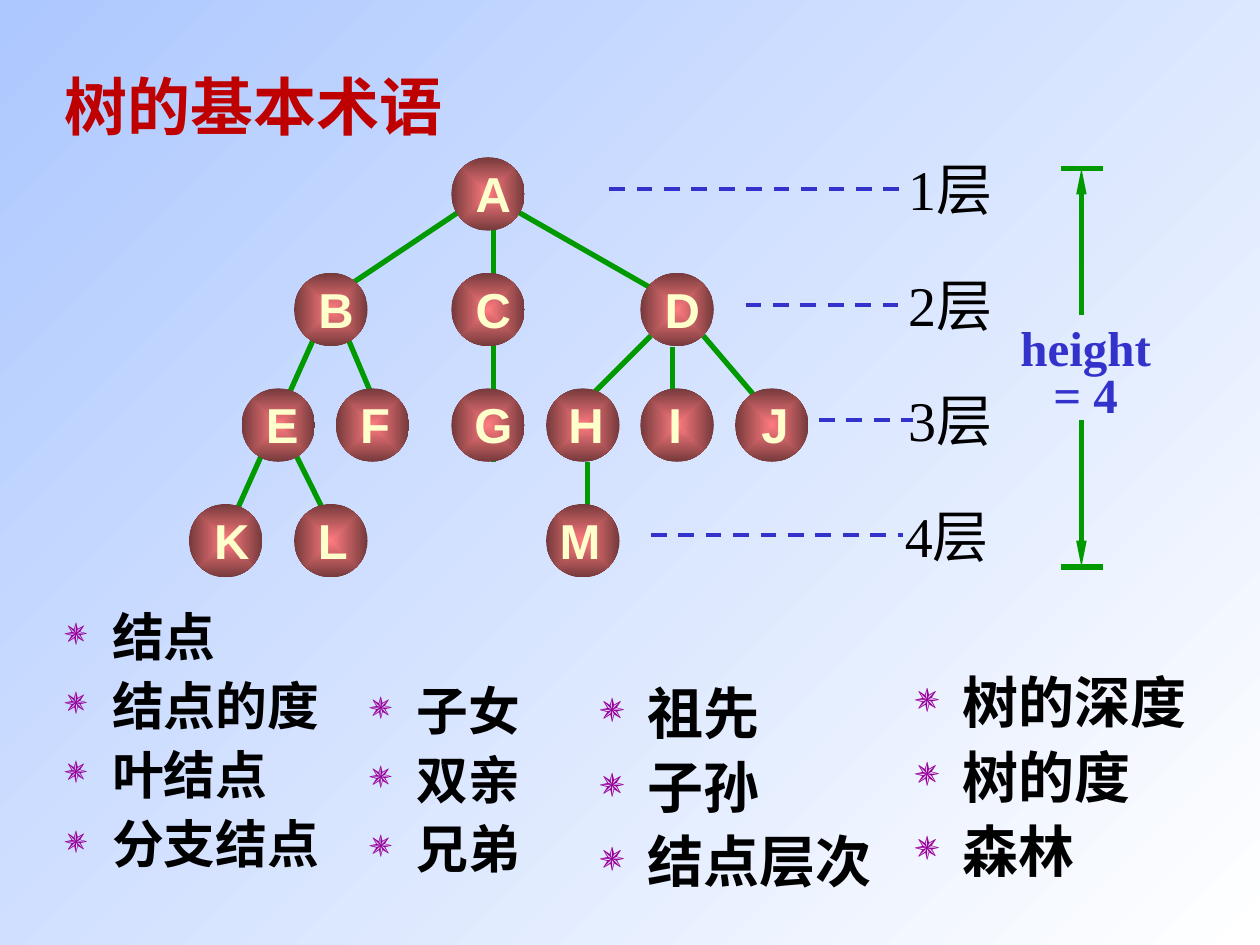
from lxml import etree
from pptx import Presentation
from pptx.dml.color import RGBColor
from pptx.enum.dml import MSO_LINE
from pptx.enum.shapes import MSO_CONNECTOR, MSO_SHAPE
from pptx.enum.text import MSO_ANCHOR, MSO_AUTO_SIZE, PP_ALIGN
from pptx.oxml import parse_xml
from pptx.oxml.ns import nsdecls, qn
from pptx.util import Cm, Pt

STRAIGHT = MSO_CONNECTOR.STRAIGHT
ELLIPSE = MSO_SHAPE.OVAL
DASH = MSO_LINE.DASH
MIDDLE, TOP = MSO_ANCHOR.MIDDLE, MSO_ANCHOR.TOP
CENTER, LEFT = PP_ALIGN.CENTER, PP_ALIGN.LEFT
FIT_SHAPE = MSO_AUTO_SIZE.SHAPE_TO_FIT_TEXT

COLORS = {
    "sky": "ADC8FF", "white": "FFFFFF", "title": "BE0000", "text": "000000",
    "edge": "009900", "level": "3333CC", "letter": "FFFFCC",
    "node_in": "FF7C80", "node_out": "75393B", "bullet": "990099",
}
SERIF, SANS, CJK = "Times New Roman", "Arial", "Noto Sans CJK SC"

UNIT = 2.54 / 12        # the slide is laid out on a grid of 120 x 90 units
NODE = 7                # node diameter
FIRST_ROW, ROW_STEP = 15, 11

# letter: (left, level, label offset from the node centre, label width)
NODES = {
    "A": (43, 0, 0.5, 5.8), "B": (28, 1, 0.5, 5.8), "C": (43, 1, 0.5, 5.8),
    "D": (61, 1, 0.5, 5.8), "E": (23, 2, 0.4, 5.5), "F": (32, 2, 0.2, 5.3),
    "G": (43, 2, 0.5, 6), "H": (52, 2, 0.3, 5.8), "I": (61, 2, -0.2, 3.7),
    "J": (70, 2, 0.3, 4.9), "K": (18, 3, 0.6, 5.8), "L": (28, 3, 0.2, 5.3),
    "M": (52, 3, -0.3, 6.2),
}
EDGES = [
    (67, 32, 73, 39), (62, 32, 56, 38), (64, 33, 64, 38), (56, 44, 56, 50),
    (49, 20, 63, 28), (44, 20, 32, 28), (47, 21, 47, 44), (33, 32, 36, 39),
    (28, 43, 31, 49), (30, 32, 21, 52),
]
# dash start, dash end, label left
LEVELS = [(58, 86, 85.3), (71, 86, 85.3), (78, 87, 85.3), (62, 86, 85)]
# left, top, width, height, font size, terms
TERMS = [
    (5, 57, 29, 28, 29.6, ["结点", "结点的度", "叶结点", "分支结点"]),
    (34, 64, 25, 21, 29.6, ["子女", "双亲", "兄弟"]),
    (56, 64, 30, 23, 32, ["祖先", "子孙", "结点层次"]),
    (86, 63, 29, 23, 32, ["树的深度", "树的度", "森林"]),
]


def grid(n):
    return Cm(round(n * UNIT, 2))


def rgb(name):
    return RGBColor.from_string(COLORS[name])


def fill_gradient(fill, *names):
    fill.gradient()
    for stop, name in zip(fill.gradient_stops, names):
        stop.color.rgb = rgb(name)


def add_line(slide, ends, color, width, dash=None, arrow=False):
    line = slide.shapes.add_connector(STRAIGHT, *map(grid, ends))
    line.line.color.rgb = rgb(color)
    line.line.width = Pt(width)
    if dash:
        line.line.dash_style = dash
    if arrow:
        etree.SubElement(line.line._get_or_add_ln(), qn("a:tailEnd"),
                         type="triangle", w="sm", len="lg")
    etree.SubElement(line._element.spPr, qn("a:effectLst"))


def add_text(slide, box, lines, size, color, font=SERIF, bold=False,
             align=CENTER, anchor=MIDDLE, wrap=False):
    tf = slide.shapes.add_textbox(*map(grid, box)).text_frame
    tf.word_wrap = wrap
    tf.vertical_anchor = anchor
    if not wrap:
        tf.auto_size = FIT_SHAPE
    tf.text = "\n".join(lines)
    for p in tf.paragraphs:
        p.alignment = align
        for r in p.runs:
            r.font.size, r.font.bold, r.font.name = Pt(size), bold, font
            r.font.color.rgb = rgb(color)
            etree.SubElement(r._r.get_or_add_rPr(), qn("a:ea"), typeface=CJK)
    return tf


def add_node(slide, left, level):
    sp = slide.shapes.add_shape(ELLIPSE, grid(left), grid(FIRST_ROW + level * ROW_STEP),
                                grid(NODE), grid(NODE))
    sp.shadow.inherit = False
    sp.line.fill.background()
    fill_gradient(sp.fill, "node_in", "node_out")
    gradient = sp._element.spPr.find(qn("a:gradFill"))
    gradient.remove(gradient.find(qn("a:lin")))
    gradient.append(parse_xml(
        f'<a:path {nsdecls("a")} path="rect">'
        '<a:fillToRect l="50000" t="50000" r="50000" b="50000"/></a:path>'))


def add_letter(slide, letter, left, level, offset, width):
    x = left + NODE / 2 + offset - width / 2
    y = FIRST_ROW + level * ROW_STEP
    add_text(slide, (x, y, width, 6.8), [letter], 28, "letter", SANS, True)


def add_level(slide, level, start, end, label_left):
    y = 18 + level * ROW_STEP
    add_line(slide, (start, y, end, y), "level", 2.25, DASH)
    add_text(slide, (label_left, y - 3.9, 13, 7.7), [f"{level + 1}层"], 32, "text",
             align=LEFT, wrap=True)


def add_height_mark(slide):
    x, top, bottom = 103, 16, 54
    for end, inner in ((top, 30), (bottom, 40)):
        add_line(slide, (x - 2, end, x + 2, end), "edge", 3)
        add_line(slide, (x, inner, x, end), "edge", 3, arrow=True)
    tf = add_text(slide, (96, 30.7, 14.8, 10.2), ["height", "= 4"], 28, "level", bold=True)
    for p in tf.paragraphs:
        p.line_spacing = 0.8


def add_terms(slide, left, top, width, height, size, terms):
    tf = add_text(slide, (left, top, width, height), terms, size, "text",
                  bold=True, align=LEFT, anchor=TOP, wrap=True)
    indent = Cm(0.95)
    for p in tf.paragraphs:
        p.space_before = Pt(4)
        pPr = p._p.get_or_add_pPr()
        pPr.set("marL", str(indent))
        pPr.set("indent", str(-indent))
        color = etree.SubElement(pPr, qn("a:buClr"))
        etree.SubElement(color, qn("a:srgbClr"), val=COLORS["bullet"])
        etree.SubElement(pPr, qn("a:buSzPct"), val="75000")
        etree.SubElement(pPr, qn("a:buChar"), char="✵")


def main():
    prs = Presentation()
    prs.slide_width, prs.slide_height = Cm(25.4), Cm(19.05)
    slide = prs.slides.add_slide(prs.slide_layouts[6])
    fill_gradient(slide.background.fill, "white", "sky")
    slide.background.fill.gradient_angle = 135

    for ends in EDGES:
        add_line(slide, ends, "edge", 3)
    add_text(slide, (5, 6, 102, 8), ["树的基本术语"], 36, "title",
             bold=True, align=LEFT, wrap=True)
    for left, level, _, _ in NODES.values():
        add_node(slide, left, level)
    for level, spans in enumerate(LEVELS):
        add_level(slide, level, *spans)
    add_height_mark(slide)
    for letter, place in NODES.items():
        add_letter(slide, letter, *place)
    for column in TERMS:
        add_terms(slide, *column)

    prs.save("out.pptx")


if __name__ == "__main__":
    main()
